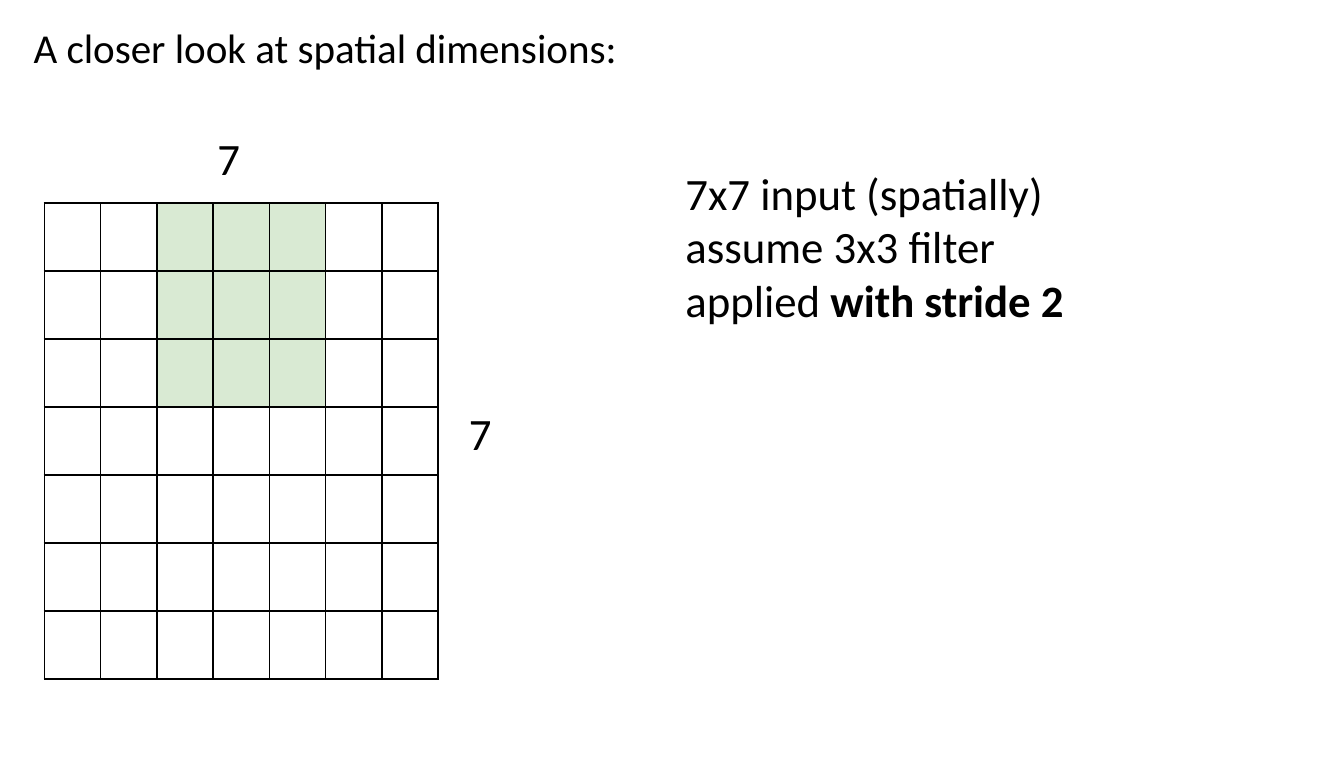
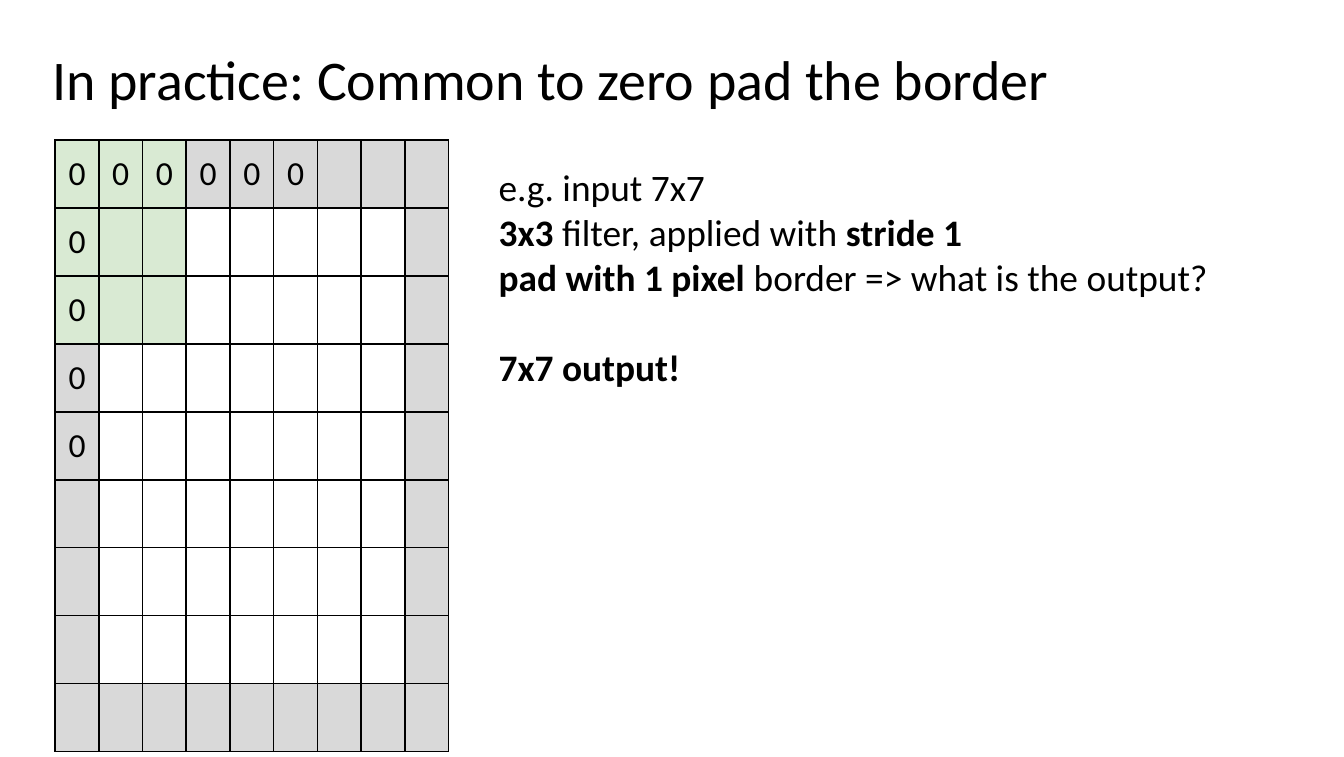
from dataclasses import dataclass

from lxml import etree
from pptx import Presentation
from pptx.dml.color import RGBColor
from pptx.enum import text as txt
from pptx.oxml import ns
from pptx.util import Inches, Pt

FONT = "Calibri"
BLACK = RGBColor(0x00, 0x00, 0x00)
WHITE = RGBColor(0xFF, 0xFF, 0xFF)
GREEN = RGBColor(0xD9, 0xEA, 0xD3)
GRAY = RGBColor(0xD9, 0xD9, 0xD9)
INSET = Inches(0.1)
FILTER = 3  # cells along one side of the filter
LEADING = 1.22  # line height of the font


@dataclass(frozen=True)
class Block:
    """Lines of text in a box; parts between asterisks are bold."""
    left: float
    top: float
    width: float
    height: float
    size: int
    lines: tuple[str, ...]
    gaps: tuple[int, ...] = ()  # lines that follow an empty line's height


@dataclass(frozen=True)
class Grid:
    left: float
    top: float
    count: int
    start: int = 0  # first column under the filter
    pad: bool = False
    across: int = 0  # zeros shown along the top
    down: int = 0  # zeros shown along the left side


@dataclass(frozen=True)
class Page:
    title: Block
    body: Block
    grid: Grid
    labels: tuple[Block, ...] = ()


PAGES = (
    Page(
        Block(0.15, 0.07, 9.16, 0.66, 22, ("A closer look at spatial dimensions:",)),
        Block(5, 1.13, 5.6, 2.01, 24,
              ("7x7 input (spatially)", "assume 3x3 filter", "applied *with stride 2*")),
        Grid(0.33, 1.51, 7, start=2),
        (Block(1.52, 0.87, 0.6, 0.5, 24, ("7",)),
         Block(3.39, 2.92, 0.64, 0.31, 24, ("7",))),
    ),
    Page(
        Block(0.29, 0.23, 9.06, 0.81, 30, ("In practice: Common to zero pad the border",)),
        Block(3.61, 1.12, 6.39, 1.62, 20,
              ("e.g. input 7x7",
               "*3x3* filter, applied with *stride 1*",
               "*pad with 1 pixel* border => what is the output?",
               "*7x7 output!*"), gaps=(3,)),
        Grid(0.41, 1.04, 9, pad=True, across=6, down=5),
    ),
)


def style(para, size: int) -> None:
    para.font.name = FONT
    para.font.size = Pt(size)
    para.font.color.rgb = BLACK


def write(shape, block: Block) -> None:
    shape.left, shape.top = Inches(block.left), Inches(block.top)
    shape.width, shape.height = Inches(block.width), Inches(block.height)
    frame = shape.text_frame
    frame.word_wrap = True
    frame.auto_size = txt.MSO_AUTO_SIZE.NONE
    frame.vertical_anchor = txt.MSO_ANCHOR.TOP
    frame.margin_left = frame.margin_right = INSET
    frame.margin_top = frame.margin_bottom = INSET
    for i, line in enumerate(block.lines):
        para = frame.add_paragraph() if i else frame.paragraphs[0]
        props = para._p.get_or_add_pPr()
        props.set("marL", "0")
        props.set("indent", "0")
        etree.SubElement(props, ns.qn("a:buNone"))
        para.alignment = txt.PP_ALIGN.LEFT
        para.space_before = Pt(block.size * LEADING if i in block.gaps else 0)
        style(para, block.size)
        for j, part in enumerate(line.split("*")):
            if part:
                run = para.add_run()
                run.text = part
                if j % 2:
                    run.font.bold = True


def border(cell) -> None:
    props = cell._tc.get_or_add_tcPr()
    for side in ("lnL", "lnR", "lnT", "lnB"):
        line = etree.SubElement(props, ns.qn(f"a:{side}"), w=str(Pt(1)))
        fill = etree.SubElement(line, ns.qn("a:solidFill"))
        etree.SubElement(fill, ns.qn("a:srgbClr"), val=str(BLACK))


def shade(grid: Grid, row: int, col: int) -> RGBColor:
    if row < FILTER and grid.start <= col < grid.start + FILTER:
        return GREEN
    edge = (0, grid.count - 1)
    return GRAY if grid.pad and (row in edge or col in edge) else WHITE


def draw(slide, grid: Grid) -> None:
    n = grid.count
    table = slide.shapes.add_table(n, n, Inches(grid.left), Inches(grid.top),
                                   Inches(2.93), Inches(0.5 * n)).table
    table.first_row = table.horz_banding = False
    for row in range(n):
        for col in range(n):
            cell = table.cell(row, col)
            border(cell)
            cell.fill.solid()
            cell.fill.fore_color.rgb = shade(grid, row, col)
            cell.margin_left = cell.margin_right = INSET
            cell.margin_top = cell.margin_bottom = INSET
            if (row == 0 and col < grid.across) or (col == 0 and row < grid.down):
                cell.text = "0"
            style(cell.text_frame.paragraphs[0], 18)


def main() -> None:
    deck = Presentation()
    deck.slide_width, deck.slide_height = Inches(10), Inches(5.63)
    for page in PAGES:
        slide = deck.slides.add_slide(deck.slide_layouts[1])
        write(slide.shapes.title, page.title)
        write(slide.placeholders[1], page.body)
        draw(slide, page.grid)
        for label in page.labels:
            write(slide.shapes.add_textbox(0, 0, 0, 0), label)
    deck.save("out.pptx")


if __name__ == "__main__":
    main()
